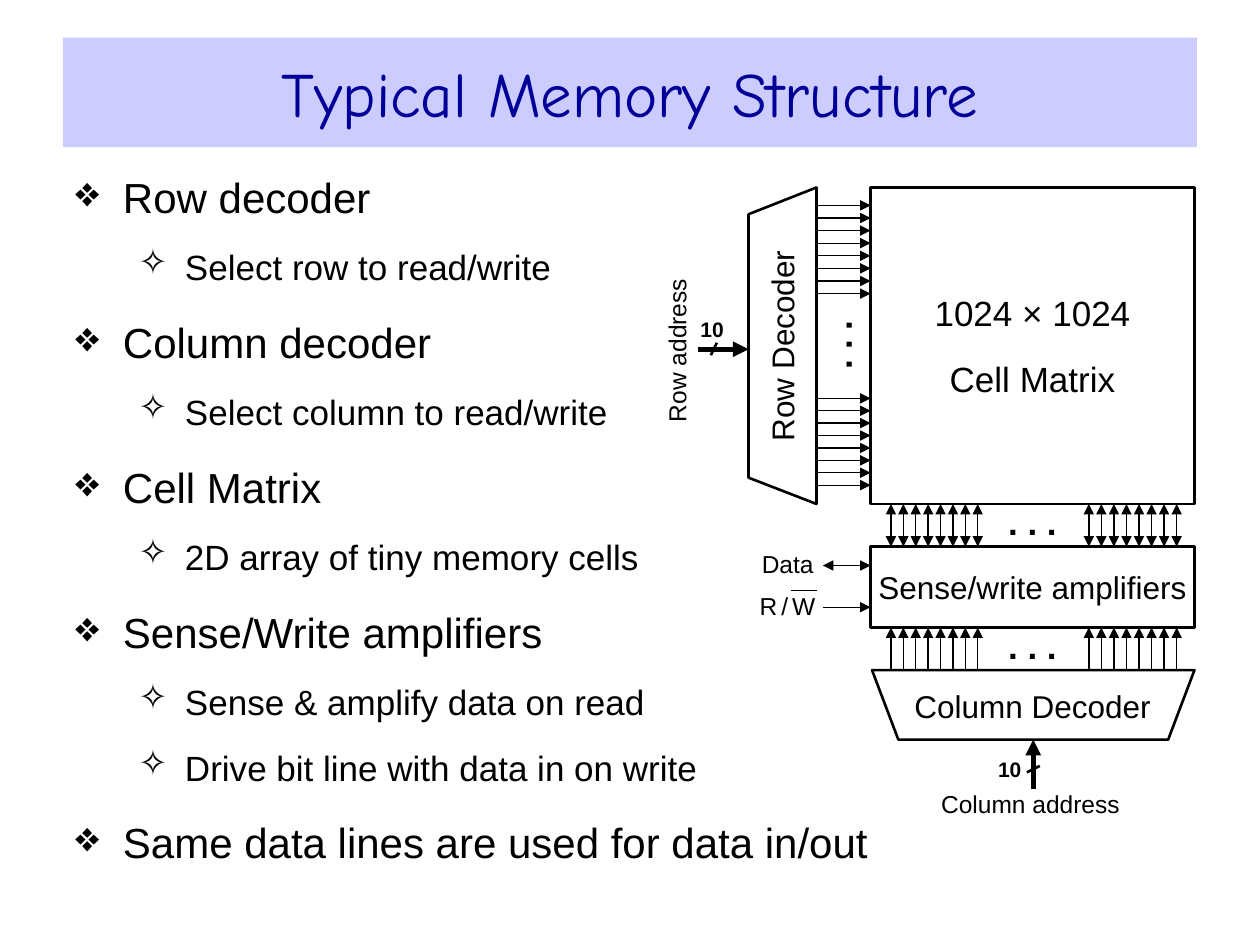
"""Build a slide on the typical structure of a memory."""
from dataclasses import dataclass
from lxml.etree import SubElement
from pptx import Presentation
from pptx.dml.color import RGBColor
from pptx.enum.shapes import MSO_CONNECTOR, MSO_SHAPE
from pptx.enum.text import MSO_ANCHOR, PP_ALIGN
from pptx.oxml.ns import qn
from pptx.util import Cm, Pt


@dataclass(frozen=True)
class Theme:
    ink: str = "000000"
    title: str = "000099"
    band: str = "CCCCFF"
    face: str = "Arial"
    comic: str = "Comic Neue"
    head: float = 36
    main: float = 24
    sub: float = 20
    block: float = 18
    note: float = 14
    bits: float = 12
    tiny: float = 8
    thin: float = 0.75
    edge: float = 1.5
    bold: float = 3
    gap: float = 13.6


@dataclass(frozen=True)
class Box:
    x: float
    y: float
    w: float
    h: float

    def place(self) -> tuple:
        return Cm(self.x), Cm(self.y), Cm(self.w), Cm(self.h)


@dataclass(frozen=True)
class Label:
    text: str
    box: Box
    size: float
    bold: bool = False
    turn: int = 0
    align: PP_ALIGN = PP_ALIGN.CENTER


@dataclass(frozen=True)
class Wire:
    x1: float
    y1: float
    x2: float
    y2: float
    width: float
    head: bool = False
    tail: bool = False


@dataclass(frozen=True)
class Level:
    mark: str
    size: float
    left: float
    hang: float
    gap: float


THEME = Theme()
LEVELS = (Level("❖", THEME.main, 0.96, 0.96, 16.4),
          Level("✧", THEME.sub, 2.21, 0.94, THEME.gap))
POINTS = (
    (0, "Row decoder"), (1, "Select row to read/write"),
    (0, "Column decoder"), (1, "Select column to read/write"),
    (0, "Cell Matrix"), (1, "2D array of tiny memory cells"),
    (0, "Sense/Write amplifiers"), (1, "Sense & amplify data on read"),
    (1, "Drive bit line with data in on write"),
    (0, "Same data lines are used for data in/out"),
)
TITLE = Box(1.27, 0.76, 22.86, 2.21)
BODY = Box(1.27, 3.33, 19.56, 14.25)
CELLS = Box(17.55, 3.78, 6.53, 6.38)
AMPS = Box(17.55, 11.02, 6.53, 1.63)
ROW = ((16.46, 3.78), (15.09, 4.32), (15.09, 9.63), (16.46, 10.16))
COLUMN = ((17.58, 13.51), (18.11, 14.91), (23.55, 14.91), (24.08, 13.51))
LINES = 8
ROW_SPANS = ((4.14, 5.92), (8.03, 9.78))
COL_SPANS = ((17.96, 19.71), (21.95, 23.72))
DOTS = ". . ."

LABELS = (
    Label("Row address", Box(12.04, 6.76, 3.2, 0.61), THEME.note, turn=270),
    Label("10", Box(14.12, 6.4, 0.58, 0.48), THEME.bits, True, align=PP_ALIGN.LEFT),
    Label(DOTS, Box(15.95, 6.6, 1.88, 0.71), THEME.sub, True, 270),
    Label(DOTS, Box(19.81, 10.24, 2.01, 0.56), THEME.sub, True),
    Label(DOTS, Box(19.81, 12.73, 2.01, 0.56), THEME.sub, True),
    Label("Row Decoder", Box(12.57, 6.3, 6.38, 1.35), THEME.block, turn=270),
    Label("Column Decoder", Box(17.55, 13.54, 6.53, 1.37), THEME.block),
    Label("Column address", Box(18.69, 15.9, 4.17, 0.61), THEME.note),
    Label("10", Box(20.12, 15.27, 0.58, 0.48), THEME.bits, True, align=PP_ALIGN.LEFT),
    Label("Data", Box(15.32, 11.05, 1.12, 0.61), THEME.note),
    Label("R / W", Box(15.06, 11.91, 1.63, 0.61), THEME.note),
)
WIRES = (
    Wire(14.07, 7.04, 15.09, 7.04, THEME.bold, tail=True),
    Wire(14.45, 6.91, 14.33, 7.16, THEME.edge),
    Wire(20.83, 15.9, 20.83, 14.91, THEME.bold, tail=True),
    Wire(20.7, 15.57, 20.96, 15.44, THEME.edge),
    Wire(16.59, 11.4, 17.55, 11.4, THEME.thin, True, True),
    Wire(16.59, 12.24, 17.55, 12.24, THEME.thin, tail=True),
    Wire(15.95, 11.91, 16.46, 11.91, THEME.thin),
)


def style(font, size: float, bold: bool = False, face: str = THEME.face,
          ink: str = THEME.ink) -> None:
    for key, value in {"size": Pt(size), "bold": bold, "name": face}.items():
        setattr(font, key, value)
    font.color.rgb = RGBColor.from_string(ink)


def setup(frame, pad: float = 0) -> None:
    sides = ("margin_left", "margin_right", "margin_top", "margin_bottom")
    form = dict.fromkeys(sides, Cm(pad))
    form |= {"word_wrap": True, "vertical_anchor": MSO_ANCHOR.MIDDLE}
    for key, value in form.items():
        setattr(frame, key, value)


def outline(shape) -> None:
    shape.shadow.inherit = False
    shape.fill.background()
    shape.line.color.rgb = RGBColor.from_string(THEME.ink)
    shape.line.width = Pt(THEME.edge)


def write(frame, lines: tuple, size: float, bold: bool = False,
          align: PP_ALIGN = PP_ALIGN.CENTER) -> None:
    setup(frame)
    for i, line in enumerate(lines):
        para = frame.add_paragraph() if i else frame.paragraphs[0]
        para.alignment = align
        if i:
            para.space_before = Pt(THEME.gap)
        words = line.split(" ") if line == "R / W" else [line]
        for j, word in enumerate(words):
            if j:
                space = para.add_run()
                space.text = " "
                style(space.font, THEME.tiny)
            run = para.add_run()
            run.text = word
            style(run.font, size, bold)


def add_title(slide) -> None:
    shape = slide.shapes.add_shape(MSO_SHAPE.RECTANGLE, *TITLE.place())
    shape.shadow.inherit = False
    shape.fill.solid()
    shape.fill.fore_color.rgb = RGBColor.from_string(THEME.band)
    shape.line.fill.background()
    setup(shape.text_frame, 0.13)
    para = shape.text_frame.paragraphs[0]
    para.alignment = PP_ALIGN.CENTER
    run = para.add_run()
    run.text = "Typical Memory Structure"
    style(run.font, THEME.head, face=THEME.comic, ink=THEME.title)


def add_body(slide) -> None:
    frame = slide.shapes.add_textbox(*BODY.place()).text_frame
    frame.word_wrap = True
    for i, (depth, text) in enumerate(POINTS):
        level = LEVELS[depth]
        para = frame.add_paragraph() if i else frame.paragraphs[0]
        para.level = depth
        if i:
            para.space_before = Pt(level.gap)
        props = para._p.get_or_add_pPr()
        props.set("marL", str(Cm(level.left)))
        props.set("indent", str(-Cm(level.hang)))
        tint = SubElement(props, qn("a:buClr"))
        SubElement(tint, qn("a:srgbClr"), val=THEME.ink)
        SubElement(props, qn("a:buChar"), char=level.mark)
        run = para.add_run()
        run.text = text
        style(run.font, level.size)


def add_wire(slide, wire: Wire) -> None:
    ends = (Cm(n) for n in (wire.x1, wire.y1, wire.x2, wire.y2))
    link = slide.shapes.add_connector(MSO_CONNECTOR.STRAIGHT, *ends)
    link.line.color.rgb = RGBColor.from_string(THEME.ink)
    link.line.width = Pt(wire.width)
    stroke = link.line._get_or_add_ln()
    for tag, shown in {"a:headEnd": wire.head, "a:tailEnd": wire.tail}.items():
        if shown:
            SubElement(stroke, qn(tag), type="triangle")
    SubElement(link._element.spPr, qn("a:effectLst"))


def add_bus(slide) -> None:
    for i in range(LINES):
        for start, end in ROW_SPANS:
            y = start + (end - start) * i / (LINES - 1)
            add_wire(slide, Wire(16.46, y, CELLS.x, y, THEME.thin, tail=True))
        for start, end in COL_SPANS:
            x = start + (end - start) * i / (LINES - 1)
            add_wire(slide, Wire(x, 10.16, x, AMPS.y, THEME.thin, True, True))
            add_wire(slide, Wire(x, 12.65, x, 13.51, THEME.thin, head=True))


def add_block(slide, box: Box, lines: tuple, size: float) -> None:
    shape = slide.shapes.add_shape(MSO_SHAPE.RECTANGLE, *box.place())
    outline(shape)
    write(shape.text_frame, lines, size)


def add_coder(slide, points: tuple) -> None:
    first, *rest = [(Cm(x), Cm(y)) for x, y in points]
    form = slide.shapes.build_freeform(*first)
    form.add_line_segments(rest, close=True)
    outline(form.convert_to_shape())


def add_label(slide, label: Label) -> None:
    shape = slide.shapes.add_textbox(*label.box.place())
    shape.rotation = label.turn
    write(shape.text_frame, (label.text,), label.size, label.bold, label.align)


def main() -> None:
    deck = Presentation()
    deck.slide_width, deck.slide_height = Cm(25.4), Cm(19.05)
    slide = deck.slides.add_slide(deck.slide_layouts[6])
    add_body(slide)
    add_title(slide)
    add_bus(slide)
    add_block(slide, CELLS, ("1024 × 1024", "Cell Matrix"), THEME.sub)
    add_block(slide, AMPS, ("Sense/write amplifiers",), THEME.block)
    for points in (ROW, COLUMN):
        add_coder(slide, points)
    for wire in WIRES:
        add_wire(slide, wire)
    for label in LABELS:
        add_label(slide, label)
    deck.save("out.pptx")


if __name__ == "__main__":
    main()
